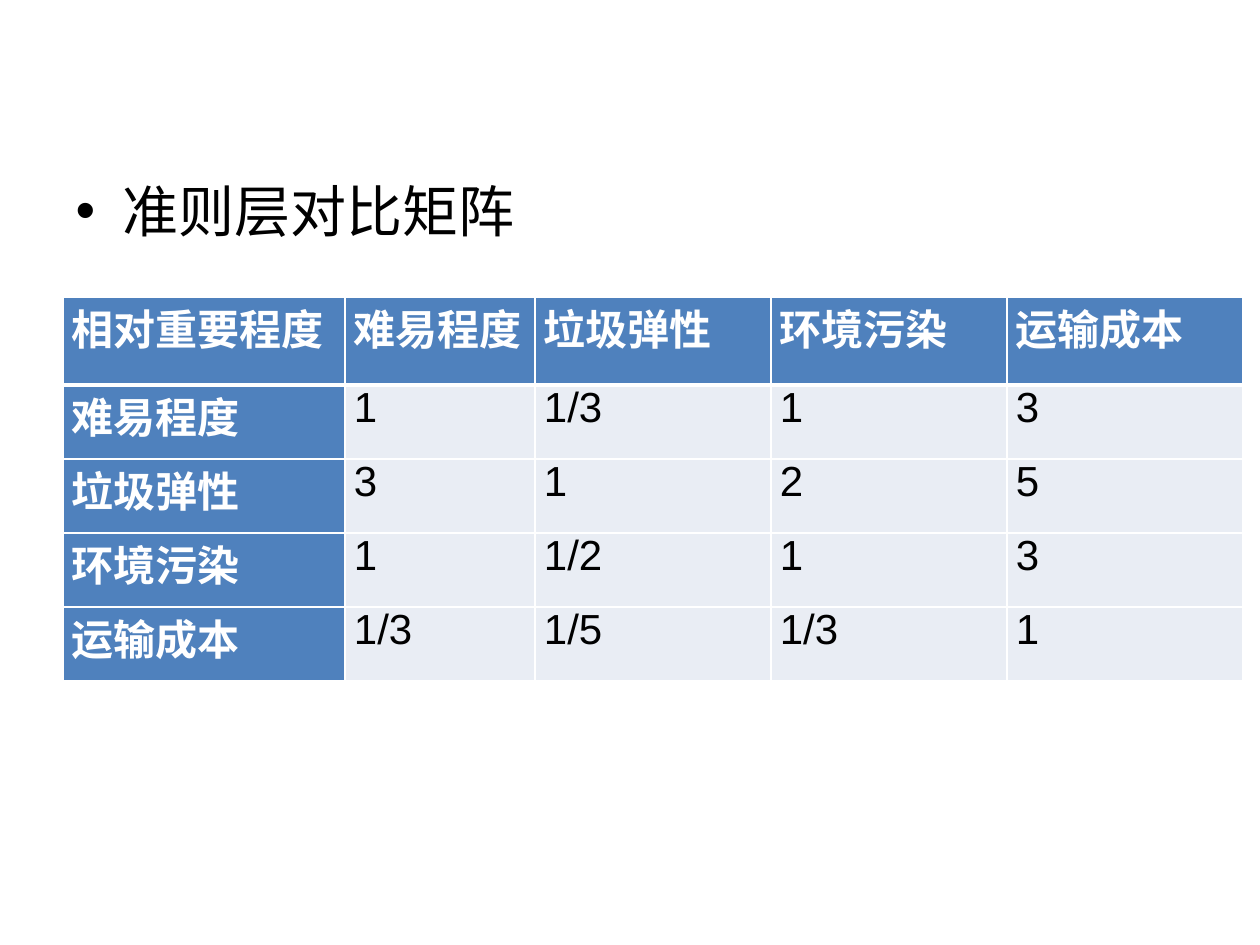
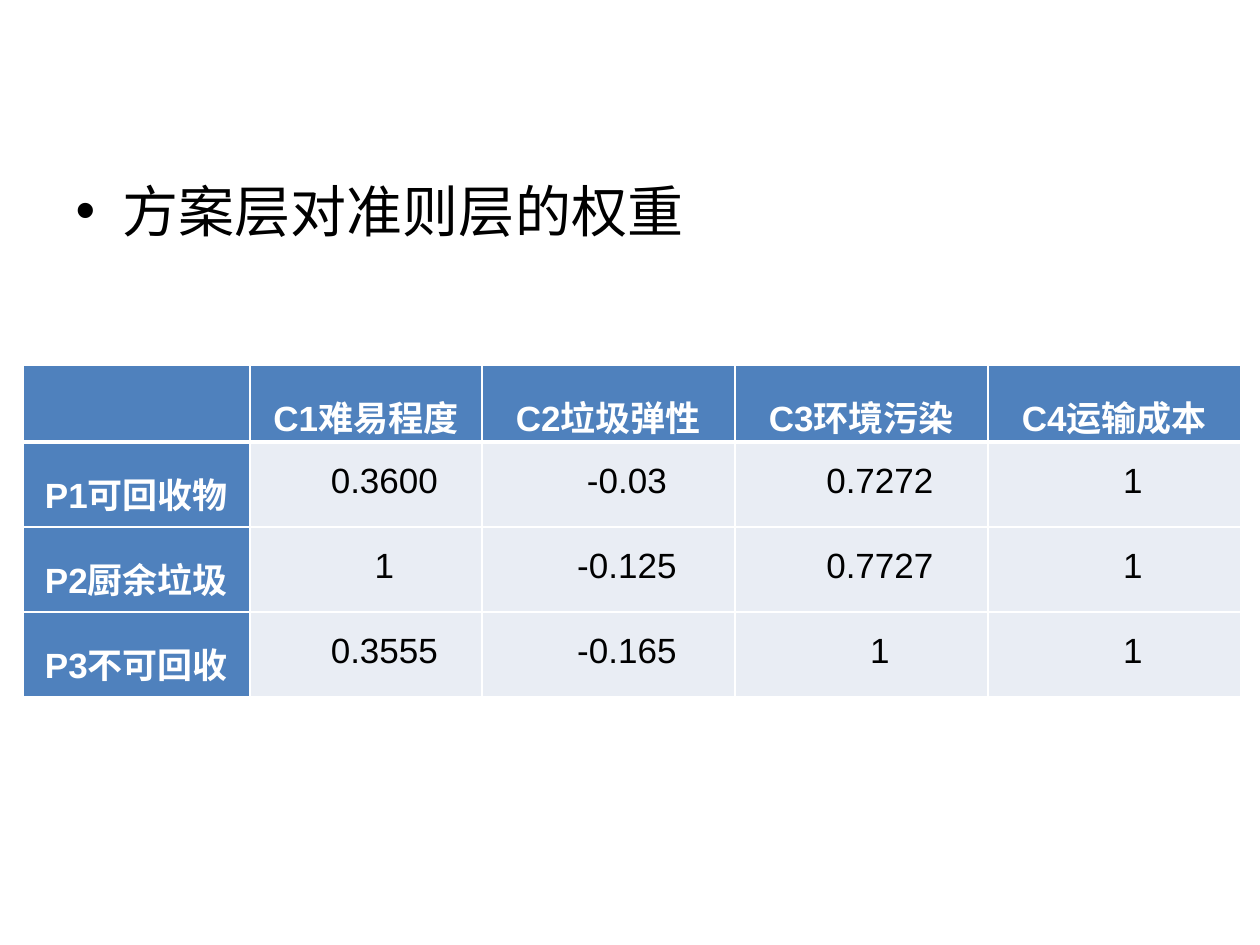
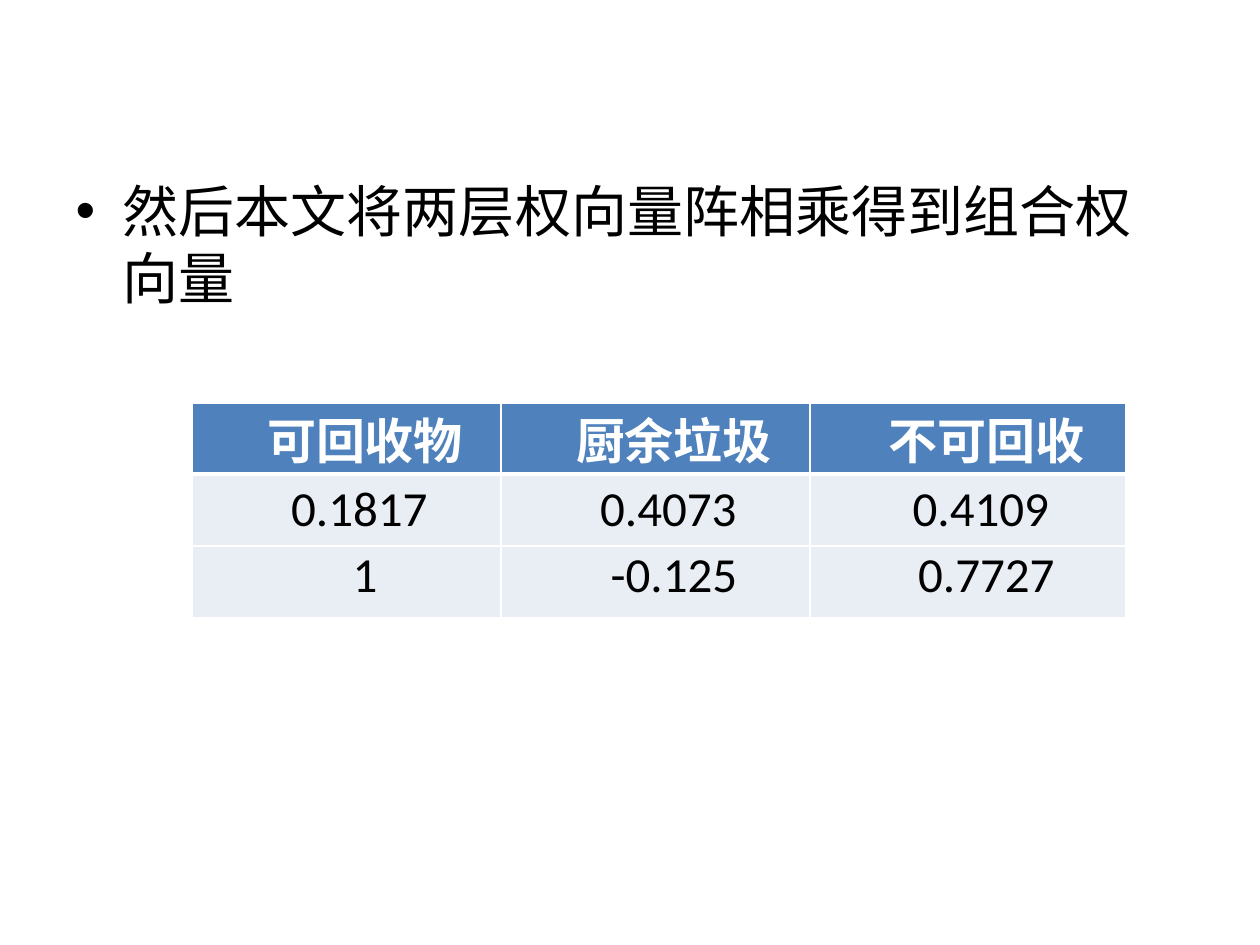
from dataclasses import dataclass

from lxml.etree import SubElement
from pptx import Presentation
from pptx.dml.color import RGBColor
from pptx.enum.text import MSO_ANCHOR, PP_ALIGN
from pptx.oxml.ns import qn
from pptx.util import Emu, Inches, Pt

SCALE = 914400 // 126


def px(count):
    return Emu(count * SCALE)


@dataclass(frozen=True)
class Theme:
    blue: str = "4F81BD"
    pale: str = "E9EDF4"
    white: str = "FFFFFF"
    black: str = "000000"
    cjk: str = "Noto Sans CJK SC"
    sans: str = "Arial"
    serif: str = "Times New Roman"
    plain: str = "Calibri"
    lead: int = 32
    large: int = 28
    mid: int = 24
    small: int = 20
    thin: int = 1
    thick: int = 3


class Deck:
    def __init__(self, theme):
        self.theme = theme
        self.show = Presentation()
        self.show.slide_width = Inches(10)
        self.show.slide_height = Inches(7.5)
        self.slide = None

    def page(self, text):
        self.slide = self.show.slides.add_slide(self.show.slide_layouts[1])
        title = self.slide.shapes.title.element
        title.getparent().remove(title)
        body = self.slide.placeholders[1]
        body.left, body.top, body.width, body.height = map(px, (63, 170, 1134, 674))
        self.text(body.text_frame.paragraphs[0], text,
                  self.theme.cjk, self.theme.lead, self.theme.black)

    def text(self, para, words, face, size, ink, bold=False):
        run = para.add_run()
        run.text = words
        font = run.font
        font.name, font.size, font.bold = face, Pt(size), bold
        font.color.rgb = RGBColor.from_string(ink)
        props = run._r.get_or_add_rPr()
        SubElement(props, qn("a:ea")).set("typeface", self.theme.cjk)

    def edge(self, cell, base):
        props = cell._tc.get_or_add_tcPr()
        for side in "LRTB":
            width = base if side == "B" else self.theme.thin
            line = SubElement(props, qn("a:ln" + side), w=str(Pt(width)))
            fill = SubElement(line, qn("a:solidFill"))
            SubElement(fill, qn("a:srgbClr"), val=self.theme.white)

    def cell(self, cell, words, size, face, head, base, align, space, dent, mid):
        theme = self.theme
        cell.margin_left = cell.margin_right = px(9)
        cell.margin_top = cell.margin_bottom = 0
        cell.vertical_anchor = MSO_ANCHOR.MIDDLE if mid else MSO_ANCHOR.TOP
        self.edge(cell, base)
        cell.fill.solid()
        cell.fill.fore_color.rgb = RGBColor.from_string(theme.blue if head else theme.pale)
        para = cell.text_frame.paragraphs[0]
        para.alignment = align
        para.line_spacing = space
        if dent:
            para._p.get_or_add_pPr().set("indent", str(px(dent)))
        if words:
            self.text(para, words, face, size, theme.white if head else theme.black, head)

    def table(self, left, top, cols, rows, data, size, top_face, face,
              side=True, align=PP_ALIGN.LEFT, space=1.0, dent=0, top_dent=0, mids=()):
        frame = self.slide.shapes.add_table(
            len(rows), len(cols), px(left), px(top), px(sum(cols)), px(sum(rows)))
        grid = frame.table
        grid.horz_banding = False
        grid.first_col = side
        for col, width in zip(grid.columns, cols):
            col.width = px(width)
        for row, height in zip(grid.rows, rows):
            row.height = px(height)
        for r, line in enumerate(data):
            for c, words in enumerate(line):
                first = r == 0
                head = first or (side and c == 0)
                inset = top_dent if head else dent
                base = self.theme.thick if first else self.theme.thin
                self.cell(grid.cell(r, c), words, size, top_face if head else face,
                          head, base, align, space, inset, r in mids)


theme = Theme()
deck = Deck(theme)

deck.page("准则层对比矩阵")
goals = ["难易程度", "垃圾弹性", "环境污染", "运输成本"]
ranks = [
    ["1", "1/3", "1", "3"],
    ["3", "1", "2", "5"],
    ["1", "1/2", "1", "3"],
    ["1/3", "1/5", "1/3", "1"],
]
pairs = [["相对重要程度"] + goals] + [[goal] + row for goal, row in zip(goals, ranks)]
deck.table(63, 297, [282, 190] + [236] * 3, [88] + [74] * 4, pairs,
           theme.mid, theme.sans, theme.sans)

deck.page("方案层对准则层的权重")
heads = [f"C{n}{goal}" for n, goal in enumerate(goals, 1)]
kinds = ["可回收物", "厨余垃圾", "不可回收"]
loads = [
    ["0.3600", "-0.03", "0.7272", "1"],
    ["1", "-0.125", "0.7727", "1"],
    ["0.3555", "-0.165", "1", "1"],
]
plans = [[""] + heads]
plans += [[f"P{n}{kind}"] + row for n, (kind, row) in enumerate(zip(kinds, loads), 1)]
deck.table(23, 365, [227, 232] + [253] * 3, [77] + [85] * 3, plans,
           theme.small, theme.sans, theme.sans,
           align=PP_ALIGN.CENTER, space=1.5, dent=37)

deck.page("然后本文将两层权向量阵相乘得到组合权向量")
blend = [kinds, ["0.1817 ", "0.4073 ", "0.4109 "], ["1", "-0.125", "0.7727"]]
deck.table(192, 403, [309, 309, 316], [64, 72, 72], blend,
           theme.large, theme.serif, theme.plain, side=False,
           align=PP_ALIGN.CENTER, dent=37, top_dent=37, mids=(1,))

deck.show.save("out.pptx")
